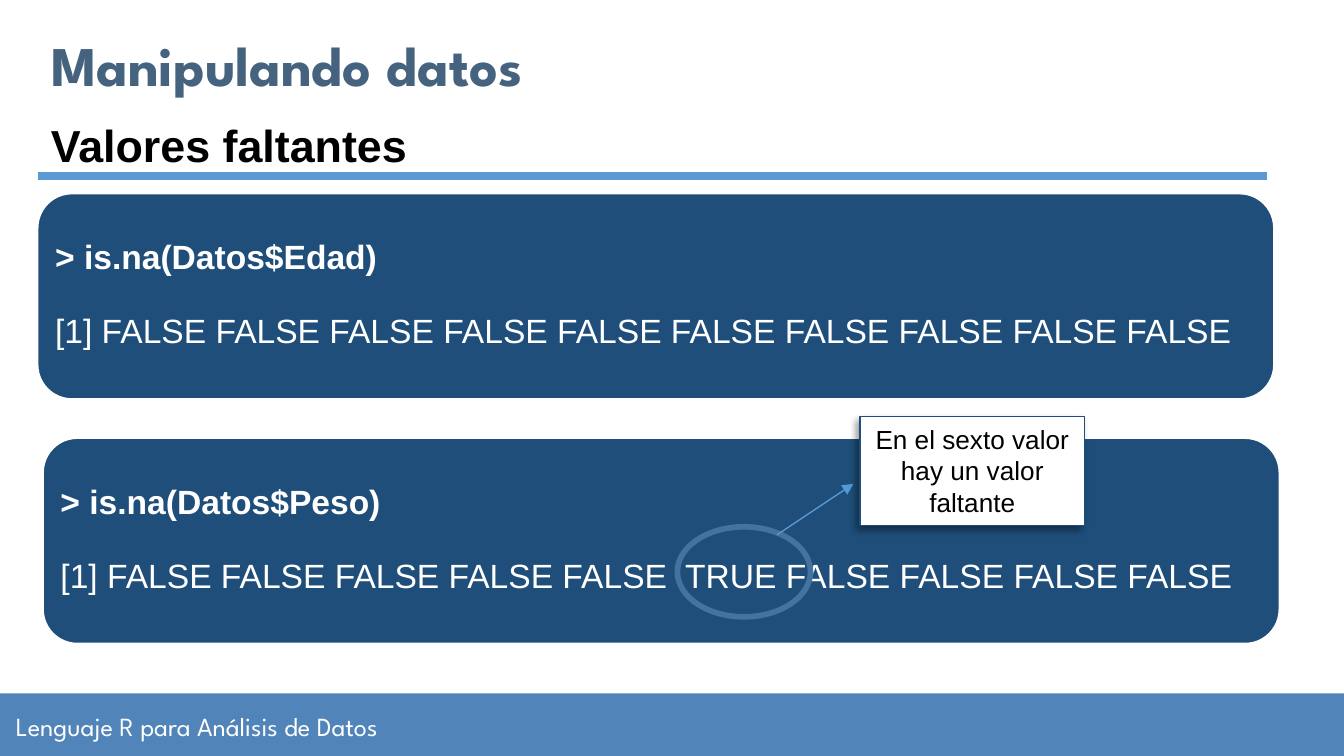
from lxml.etree import SubElement
from pptx import Presentation
from pptx.dml.color import RGBColor
from pptx.enum.shapes import MSO_CONNECTOR, MSO_SHAPE
from pptx.enum.text import MSO_ANCHOR, MSO_AUTO_SIZE, PP_ALIGN
from pptx.oxml.ns import qn
from pptx.util import Inches, Pt

NAVY = "1E4E79"
WHITE = "FFFFFF"
BLACK = "000000"


def color(value):
    return RGBColor.from_string(value)


def place(box, left, top, width, height):
    box.left, box.top = Inches(left), Inches(top)
    box.width, box.height = Inches(width), Inches(height)


def set_frame(box, inset_x=0.1, inset_y=0.1, anchor=MSO_ANCHOR.MIDDLE):
    frame = box.text_frame
    frame.word_wrap = True
    frame.auto_size = MSO_AUTO_SIZE.NONE
    frame.vertical_anchor = anchor
    frame.margin_left = frame.margin_right = Inches(inset_x)
    frame.margin_top = frame.margin_bottom = Inches(inset_y)
    return frame


def write(para, text, size, font="Arial", ink=BLACK, bold=False,
          align=PP_ALIGN.LEFT, spacing=None, before=None):
    para.alignment = align
    if spacing:
        para.line_spacing = spacing
    if before:
        para.space_before = Pt(before)
    span = para.add_run()
    span.text = text
    span.font.name = font
    span.font.size = Pt(size)
    span.font.bold = bold
    span.font.color.rgb = color(ink)


def add_text_box(shapes, left, top, width, height, **frame_format):
    box = shapes.add_textbox(Inches(left), Inches(top), Inches(width), Inches(height))
    return set_frame(box, **frame_format)


def add_box(shapes, kind, left, top, width, height, fill=None, line=None, weight=1):
    box = shapes.add_shape(kind, Inches(left), Inches(top), Inches(width), Inches(height))
    box.shadow.inherit = False
    if fill:
        box.fill.solid()
        box.fill.fore_color.rgb = color(fill)
    else:
        box.fill.background()
    if line:
        box.line.color.rgb = color(line)
        box.line.width = Pt(weight)
    else:
        box.line.fill.background()
    return box


def add_line(page, start, end, ink, weight, arrow=False):
    line = page.shapes.add_connector(
        MSO_CONNECTOR.STRAIGHT, *(Inches(value) for value in start + end))
    line.line.color.rgb = color(ink)
    line.line.width = Pt(weight)
    if arrow:
        SubElement(line.line._get_or_add_ln(), qn("a:tailEnd"), type="triangle")
    SubElement(line._element.spPr, qn("a:effectLst"))


def add_shadow(box):
    """Cast a soft shadow towards the lower left."""
    effects = box._element.spPr.find(qn("a:effectLst"))
    shadow = SubElement(effects, qn("a:outerShdw"), blurRad=str(Pt(4)), dist=str(Pt(3)),
                        dir=str(135 * 60000), algn="tr", rotWithShape="0")
    ink = SubElement(shadow, qn("a:srgbClr"), val=BLACK)
    SubElement(ink, qn("a:alpha"), val="40000")


def add_console(page, left, top, command, output):
    """Group a rounded panel with an R command and its result."""
    shapes = page.shapes.add_group_shape().shapes
    panel = add_box(shapes, MSO_SHAPE.ROUNDED_RECTANGLE, left, top, 9.2, 1.53, NAVY, WHITE)
    panel.adjustments[0] = 0.167
    frame = add_text_box(shapes, left + 0.05, top + 0.07, 9.11, 1.38,
                         inset_x=0.08, inset_y=0.08)
    write(frame.paragraphs[0], command, 18, ink=WHITE, bold=True, spacing=0.9)
    write(frame.add_paragraph(), output, 18, ink=WHITE, spacing=0.9, before=20)


def add_footer(page, text):
    add_box(page.shapes, MSO_SHAPE.RECTANGLE, 0, 5.16, 10, 0.47, "5184B9")
    frame = add_text_box(page.shapes, 0.02, 5.17, 4.97, 0.47)
    write(frame.paragraphs[0], text, 14, "League Spartan", WHITE)


def add_headings(page, title, subtitle):
    place(page.shapes.title, 0.28, 0.22, 6.59, 0.51)
    frame = set_frame(page.shapes.title)
    write(frame.paragraphs[0], title, 30, "League Spartan", "45637F", bold=True)
    frame = add_text_box(page.shapes, 0.28, 0.83, 9.35, 0.5,
                         inset_y=0.05, anchor=MSO_ANCHOR.TOP)
    write(frame.paragraphs[0], subtitle, 24, bold=True)
    add_line(page, (0.28, 1.31), (9.43, 1.31), "5B9BD5", 4.5)


def add_callout(page, text):
    """Ring the missing value and point to a note about it."""
    add_box(page.shapes, MSO_SHAPE.OVAL, 5.04, 3.92, 0.99, 0.67, line="43739E", weight=3)
    add_line(page, (5.78, 3.98), (6.35, 3.6), "5698D3", 0.75, arrow=True)
    note = add_box(page.shapes, MSO_SHAPE.RECTANGLE, 6.4, 3.1, 1.67, 0.81, WHITE, NAVY, 0.75)
    add_shadow(note)
    frame = set_frame(note, inset_y=0.05, anchor=MSO_ANCHOR.TOP)
    write(frame.paragraphs[0], text, 14, align=PP_ALIGN.CENTER)


def main():
    deck = Presentation()
    deck.slide_width = Inches(10)
    deck.slide_height = deck.slide_width * 9 // 16
    page = deck.slides.add_slide(deck.slide_layouts[5])
    add_footer(page, "Lenguaje R para Análisis de Datos")
    add_headings(page, "Manipulando datos", "Valores faltantes")
    add_console(page, 0.28, 1.44, "> is.na(Datos$Edad)",
                "[1] FALSE FALSE FALSE FALSE FALSE FALSE FALSE FALSE FALSE FALSE")
    add_console(page, 0.32, 3.26, "> is.na(Datos$Peso)",
                "[1] FALSE FALSE FALSE FALSE FALSE  TRUE FALSE FALSE FALSE FALSE")
    add_callout(page, "En el sexto valor hay un valor faltante")
    deck.save("out.pptx")


if __name__ == "__main__":
    main()
